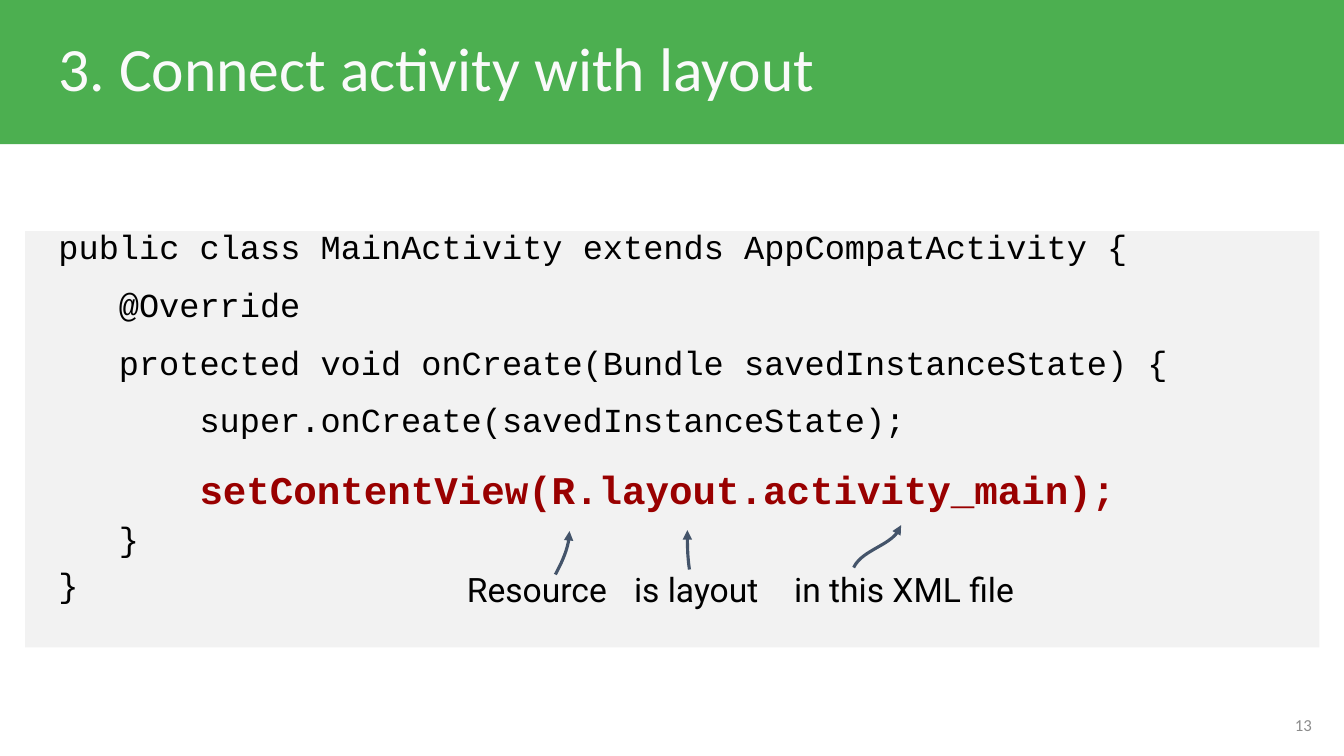
from lxml.etree import SubElement
from pptx import Presentation
from pptx.dml.color import RGBColor
from pptx.enum.shapes import MSO_SHAPE as SHAPE
from pptx.enum.text import MSO_ANCHOR as ANCHOR, PP_ALIGN as ALIGN
from pptx.oxml.ns import qn
from pptx.util import Pt


def rgb(color):
    return RGBColor.from_string(color)


class Deck:
    GREEN, PANEL, ARROW = "4CAF50", "F2F2F2", "44546A"
    WHITE, BLACK, RED, GREY = "FAFAFA", "000000", "990000", "8C8C8C"
    HEADING, CODE, LABEL = "Calibri", "Courier New", "Roboto"
    INSET = 9.36
    CHAR = 14.4
    CURVE_STEPS = 16

    def __init__(self, width, height):
        self.prs = Presentation()
        self.prs.slide_width, self.prs.slide_height = Pt(width), Pt(height)
        self.s = self.prs.slides.add_slide(self.prs.slide_layouts[6])

    def panel(self, x, y, w, h, color):
        sp = self.s.shapes.add_shape(SHAPE.RECTANGLE, Pt(x), Pt(y), Pt(w), Pt(h))
        sp.shadow.inherit = False
        sp.fill.solid()
        sp.fill.fore_color.rgb = rgb(color)
        sp.line.fill.background()

    def frame(self, x, y, w, h, anchor=ANCHOR.TOP):
        tf = self.s.shapes.add_textbox(Pt(x), Pt(y), Pt(w), Pt(h)).text_frame
        tf.word_wrap = True
        tf.vertical_anchor = anchor
        tf.margin_left = tf.margin_right = Pt(self.INSET)
        tf.margin_top = tf.margin_bottom = Pt(self.INSET)
        return tf

    def style(self, p, size, font, color, bold=False):
        for r in p.runs:
            r.font.size, r.font.name, r.font.bold = Pt(size), font, bold
            r.font.color.rgb = rgb(color)

    def text(self, x, y, w, h, text, size, font, color,
             align=ALIGN.LEFT, anchor=ANCHOR.TOP, spacing=1.0):
        tf = self.frame(x, y, w, h, anchor)
        tf.text = text
        p = tf.paragraphs[0]
        p.alignment, p.line_spacing = align, spacing
        self.style(p, size, font, color)

    def code(self, x, y, w, h, lines):
        tf = self.frame(x, y, w, h)
        for i, (indent, before, text, size, color, bold) in enumerate(lines):
            p = tf.add_paragraph() if i else tf.paragraphs[0]
            p.text = text
            p.line_spacing, p.space_before = 1.15, Pt(before)
            pPr = p._p.get_or_add_pPr()
            pPr.set("marL", str(Pt(indent * self.CHAR)))
            pPr.set("indent", "0")
            self.style(p, size, self.CODE, color, bold)

    def arrow(self, *controls):
        points = []
        for i in range(self.CURVE_STEPS + 1):
            t = i / self.CURVE_STEPS
            weights = ((1 - t) ** 3, 3 * t * (1 - t) ** 2, 3 * t * t * (1 - t), t ** 3)
            points.append(tuple(Pt(sum(k * c[axis] for k, c in zip(weights, controls)))
                                for axis in (0, 1)))
        builder = self.s.shapes.build_freeform(*points[0])
        builder.add_line_segments(points[1:], close=False)
        sp = builder.convert_to_shape()
        sp.shadow.inherit = False
        sp.fill.background()
        sp.line.color.rgb = rgb(self.ARROW)
        sp.line.width = Pt(2.25)
        SubElement(sp.line._get_or_add_ln(), qn("a:tailEnd"), type="triangle")

    def save(self):
        self.prs.save("out.pptx")


def main():
    d = Deck(960, 540)
    d.panel(-1.5, -4.5, 961.5, 107.5, d.GREEN)
    d.panel(18, 165, 924.5, 297.5, d.PANEL)
    d.text(32.4, 18, 894, 60.5, "3. Connect activity with layout",
           44, d.HEADING, d.WHITE, spacing=0.9)
    d.code(32.4, 148, 894, 323, [
        (0, 0, "public class MainActivity extends AppCompatActivity {", 24, d.BLACK, False),
        (3, 8, "@Override", 24, d.BLACK, False),
        (3, 8, "protected void onCreate(Bundle savedInstanceState) {", 24, d.BLACK, False),
        (7, 8, "super.onCreate(savedInstanceState);", 24, d.BLACK, False),
        (7, 13.3, "setContentView(R.layout.activity_main);", 28, d.RED, True),
        (3, 0, "}", 24, d.BLACK, False),
        (0, 0, "}", 24, d.BLACK, False),
    ])
    d.text(889, 497.5, 57.5, 41, "13", 12, d.HEADING, d.GREY, ALIGN.RIGHT, ANCHOR.MIDDLE)
    for x, w, label in ((537, 217.5, "in this XML file"),
                        (434, 126.5, "is layout"),
                        (313, 141, "Resource")):
        d.text(x, 396.7, w, 49, label, 24, d.LABEL, d.BLACK, ALIGN.CENTER)
    d.arrow((396.7, 410.4), (401.8, 401), (406.8, 390.2), (406.8, 379.4))
    d.arrow((492.5, 406.8), (491, 397.4), (491, 388), (491, 378.7))
    d.arrow((609.8, 405.4), (616.3, 391.7), (639.4, 389.5), (643.7, 375.1))
    d.save()


if __name__ == "__main__":
    main()
